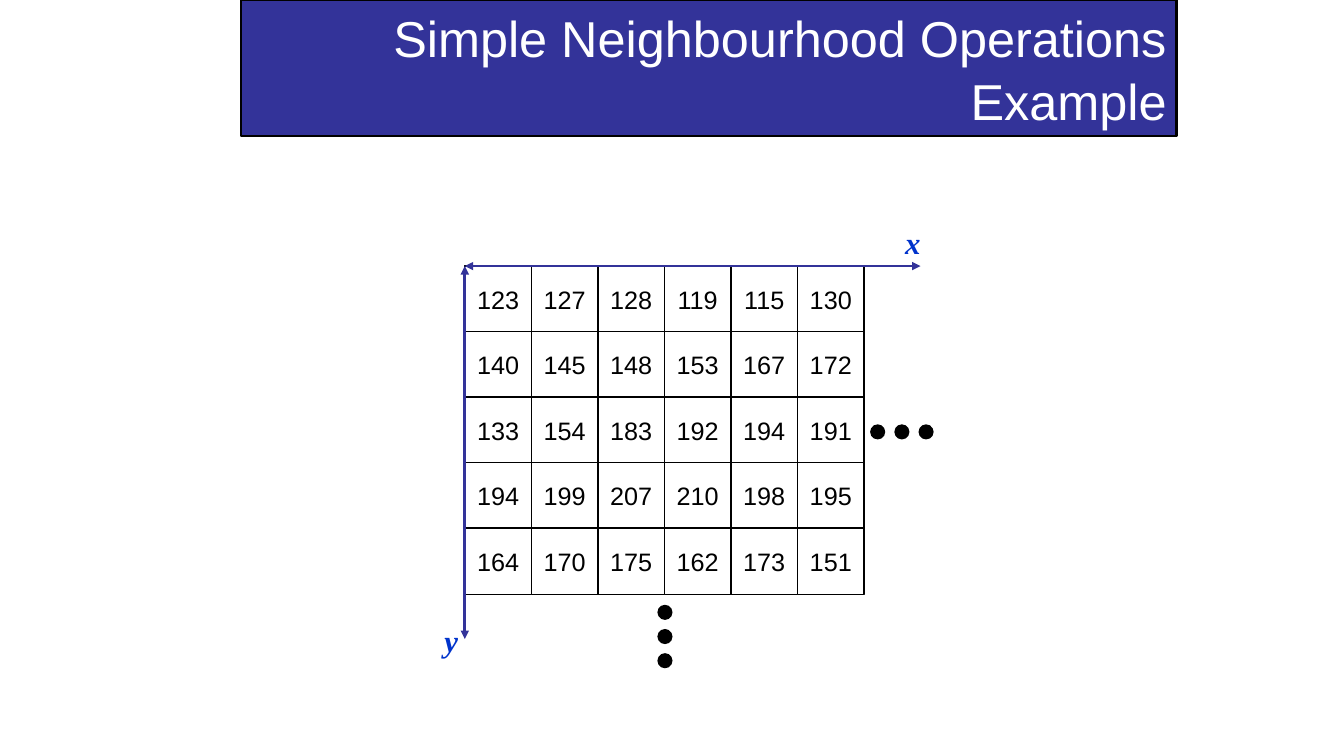
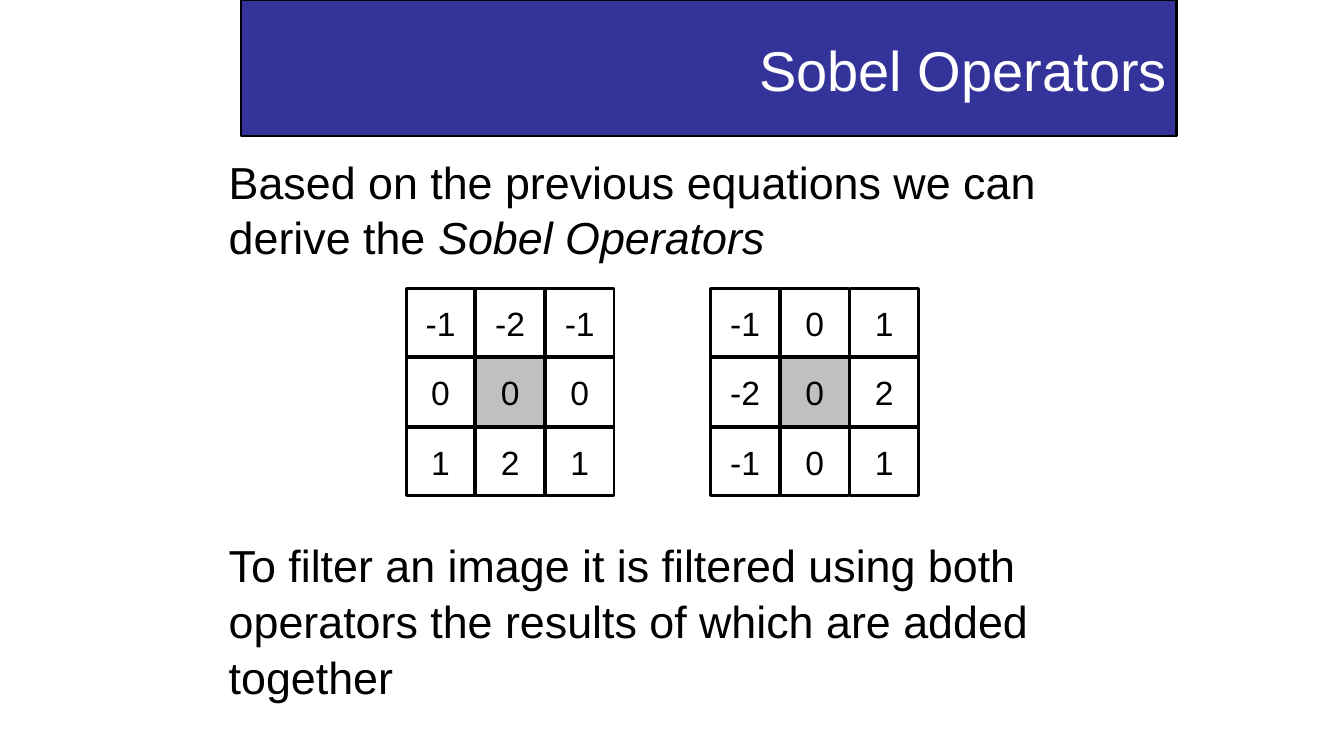
from lxml import etree
from pptx import Presentation
from pptx.dml.color import RGBColor
from pptx.enum.shapes import MSO_CONNECTOR, MSO_SHAPE
from pptx.enum.text import MSO_ANCHOR, MSO_AUTO_SIZE, PP_ALIGN
from pptx.oxml.ns import qn
from pptx.util import Inches, Pt

RECT, OVAL = MSO_SHAPE.RECTANGLE, MSO_SHAPE.OVAL
STRAIGHT = MSO_CONNECTOR.STRAIGHT
MIDDLE = MSO_ANCHOR.MIDDLE
LEFT, CENTER, RIGHT = PP_ALIGN.LEFT, PP_ALIGN.CENTER, PP_ALIGN.RIGHT
FIT_TEXT = MSO_AUTO_SIZE.SHAPE_TO_FIT_TEXT

COLORS = {
    "navy": "333399",
    "label": "0033CC",
    "black": "000000",
    "white": "FFFFFF",
    "centre": "C0C0C0",
}
SANS, SERIF = "Arial", "Times New Roman"
LINE_SPACING = 1.04

PIXELS = [
    [123, 127, 128, 119, 115, 130],
    [140, 145, 148, 153, 167, 172],
    [133, 154, 183, 192, 194, 191],
    [194, 199, 207, 210, 198, 195],
    [164, 170, 175, 162, 173, 151],
]
SOBEL_KERNELS = [
    (4.03, [[-1, -2, -1], [0, 0, 0], [1, 2, 1]]),
    (7.05, [[-1, 0, 1], [-2, 0, 2], [-1, 0, 1]]),
]


def rgb(name):
    return RGBColor.from_string(COLORS[name])


def box(left, top, width, height):
    return [Inches(length) for length in (left, top, width, height)]


def style_runs(paragraph, size, color, font=SANS, align=LEFT):
    paragraph.alignment = align
    for run in paragraph.runs:
        run.font.name = font
        run.font.size = Pt(size)
        run.font.color.rgb = rgb(color)


def add_filled(shapes, preset, bounds, fill, line_width=None):
    """Add a flat shape, with a black outline if line_width is given."""
    shape = shapes.add_shape(preset, *box(*bounds))
    shape.shadow.inherit = False
    shape.fill.solid()
    shape.fill.fore_color.rgb = rgb(fill)
    if line_width:
        shape.line.color.rgb = rgb("black")
        shape.line.width = Pt(line_width)
    else:
        shape.line.fill.background()
    return shape


def add_title(slide, text, size):
    banner = add_filled(slide.shapes, RECT, (2.39, 0, 9.28, 1.35), "navy", 2)
    frame = banner.text_frame
    frame.text = text
    frame.word_wrap = True
    frame.vertical_anchor = MIDDLE
    heading = frame.paragraphs[0]
    heading.line_spacing = LINE_SPACING
    style_runs(heading, size, "white", align=RIGHT)


def add_grid(slide, values, origin, pitch, side, size, line_width, shaded=None):
    """Draw values as a group of square cells; shaded is a (row, column)."""
    cells = slide.shapes.add_group_shape().shapes
    for row, numbers in enumerate(values):
        for column, number in enumerate(numbers):
            left = origin[0] + column * pitch[0]
            top = origin[1] + row * pitch[1]
            fill = "centre" if (row, column) == shaded else "white"
            cell = add_filled(cells, RECT, (left, top, side, side), fill, line_width)
            frame = cell.text_frame
            frame.text = str(number)
            frame.word_wrap = False
            frame.vertical_anchor = MIDDLE
            style_runs(frame.paragraphs[0], size, "black", align=CENTER)


def add_axis(slide, start, end):
    """Draw a line with an arrowhead at both ends."""
    axis = slide.shapes.add_connector(STRAIGHT, *box(*start, *end))
    axis.line.color.rgb = rgb("navy")
    axis.line.width = Pt(2)
    for tag in ("a:headEnd", "a:tailEnd"):
        etree.SubElement(axis.line._get_or_add_ln(), qn(tag)).set("type", "triangle")
    etree.SubElement(axis._element.spPr, qn("a:effectLst"))


def add_axis_label(slide, text, bounds):
    frame = slide.shapes.add_textbox(*box(*bounds)).text_frame
    frame.text = text
    frame.word_wrap = False
    frame.auto_size = FIT_TEXT
    letter = frame.paragraphs[0]
    style_runs(letter, 22, "label", SERIF)
    letter.runs[0].font.bold = True
    letter.runs[0].font.italic = True


def add_ellipsis(slide, left, top, step_x, step_y):
    """Draw three dots, each one step from the last."""
    for i in range(3):
        dot = (left + i * step_x, top + i * step_y, 0.15, 0.15)
        add_filled(slide.shapes, OVAL, dot, "black")


def add_sobel_text(slide):
    frame = slide.shapes.add_textbox(*box(2.17, 1.46, 9.5, 6.04)).text_frame
    frame.word_wrap = True
    intro = frame.paragraphs[0]
    intro.text = "Based on the previous equations we can derive the "
    term = intro.add_run()
    term.text = "Sobel Operators"
    term.font.italic = True
    usage = frame.add_paragraph()
    usage.text = (
        "To filter an image it is filtered using both operators "
        "the results of which are added together"
    )
    usage.space_before = Pt(194)
    for paragraph in (intro, usage):
        paragraph.line_spacing = LINE_SPACING
        style_runs(paragraph, 32, "black")


def build_neighbourhood(slide):
    add_title(slide, "Simple Neighbourhood Operations Example", 36)
    origin = (4.61, 2.64)
    add_grid(slide, PIXELS, origin, (0.66, 0.65), 0.66, 18, 1)
    add_axis(slide, origin, (9.13, origin[1]))
    add_axis(slide, origin, (origin[0], 6.34))
    add_axis_label(slide, "x", (8.88, 2.17, 0.41, 0.47))
    add_axis_label(slide, "y", (4.31, 6.12, 0.44, 0.47))
    add_ellipsis(slide, 8.63, 4.21, 0.24, 0)
    add_ellipsis(slide, 6.52, 6, 0, 0.24)


def build_sobel(slide):
    add_title(slide, "Sobel Operators", 40)
    add_sobel_text(slide)
    for left, kernel in SOBEL_KERNELS:
        add_grid(slide, kernel, (left, 2.86), (0.69, 0.69), 0.68, 24, 2, (1, 1))


def main():
    deck = Presentation()
    deck.slide_width = Inches(13.33)
    deck.slide_height = Inches(7.5)
    blank = deck.slide_layouts[6]
    for build in (build_neighbourhood, build_sobel):
        build(deck.slides.add_slide(blank))
    deck.save("out.pptx")


if __name__ == "__main__":
    main()
